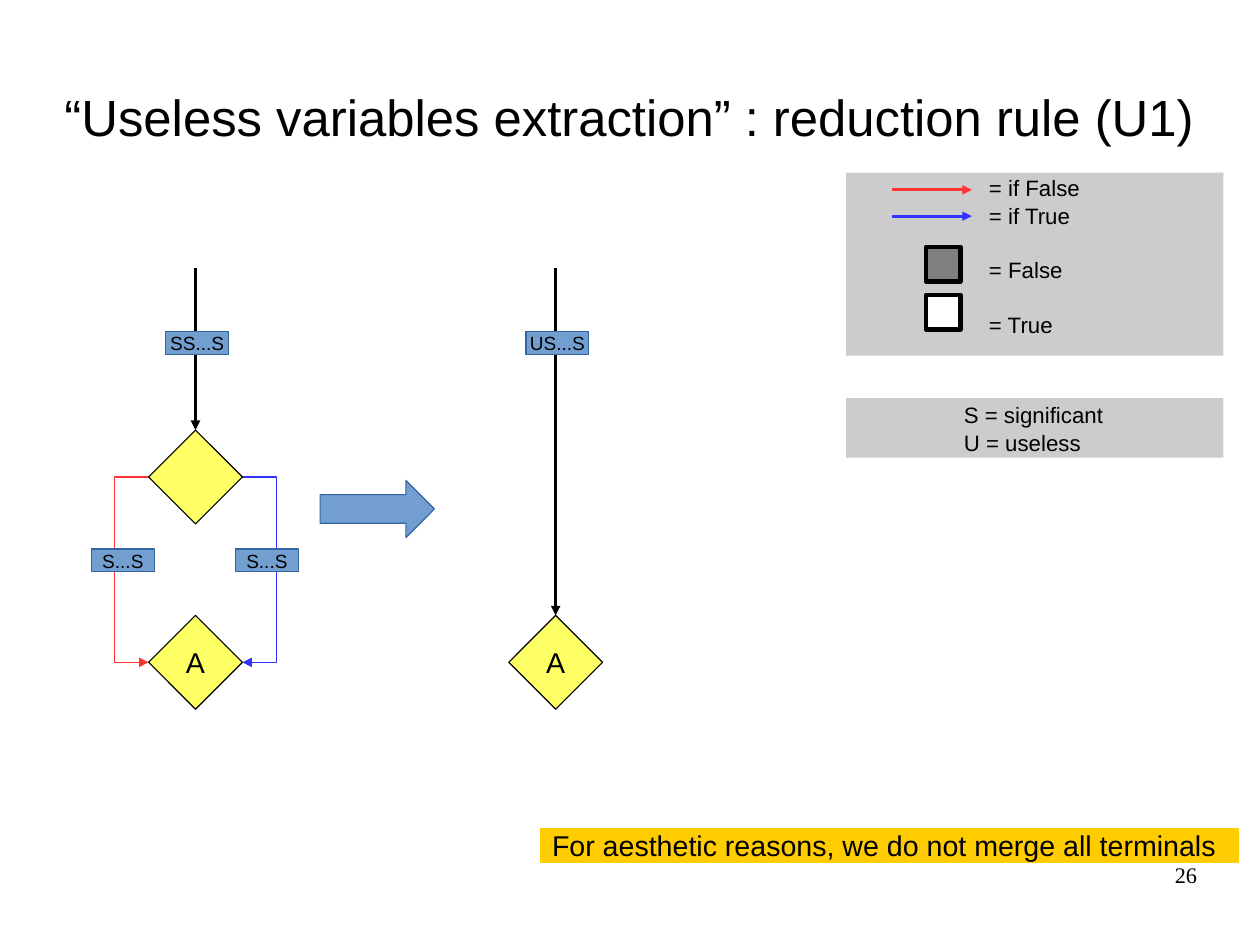
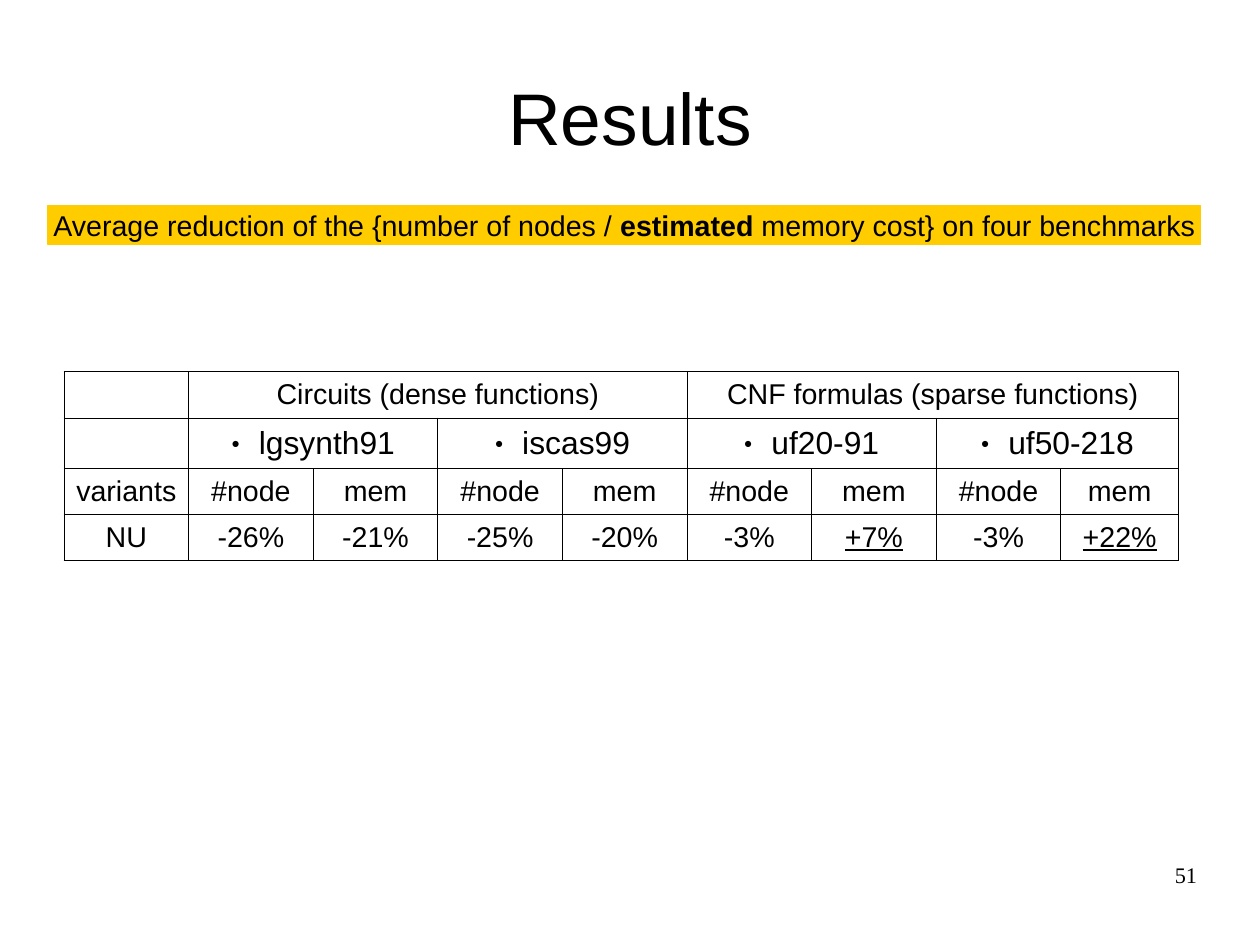
from lxml import etree
from pptx import Presentation
from pptx.dml.color import RGBColor
from pptx.enum import shapes, text
from pptx.oxml import ns
from pptx.util import Inches, Pt

COLORS = {
    "black": "000000", "white": "FFFFFF", "gray": "808080", "panel": "CCCCCC",
    "yellow": "FFFF66", "banner": "FFCC00", "label": "729FCF", "label_line": "3465A4",
    "false": "FF3333", "true": "3333FF",
}
SHAPE = shapes.MSO_SHAPE
LEFT, CENTER, RIGHT = text.PP_ALIGN.LEFT, text.PP_ALIGN.CENTER, text.PP_ALIGN.RIGHT
TOP, MIDDLE = text.MSO_ANCHOR.TOP, text.MSO_ANCHOR.MIDDLE


def rgb(name):
    return RGBColor.from_string(COLORS[name])


def add_xml(parent, tag, **attributes):
    return etree.SubElement(parent, ns.qn(tag), attributes)


def write_text(frame, content, size=18, font="Arial", align=CENTER, anchor=MIDDLE,
               wrap=False, insets=(0.1, 0.05, 0.1, 0.05), gaps=()):
    """Fill a frame; each line is a string or a list of (string, bold) pairs."""
    frame.auto_size = text.MSO_AUTO_SIZE.NONE
    frame.word_wrap = wrap
    frame.vertical_anchor = anchor
    (frame.margin_left, frame.margin_top,
     frame.margin_right, frame.margin_bottom) = map(Inches, insets)
    lines = [content] if isinstance(content, str) else content
    for index, line in enumerate(lines):
        paragraph = frame.add_paragraph() if index else frame.paragraphs[0]
        paragraph.alignment = align
        if index and gaps:
            paragraph.space_before = Pt(gaps[index - 1])
        for string, bold in [(line, False)] if isinstance(line, str) else line:
            run = paragraph.add_run()
            run.text = string
            run.font.name, run.font.size, run.font.bold = font, Pt(size), bold
            run.font.color.rgb = rgb("black")


class Deck:
    def __init__(self):
        self.presentation = Presentation()
        self.presentation.slide_width = Inches(11.02)
        self.presentation.slide_height = Inches(8.27)
        self.slide = None

    def add_slide(self, title, number, title_size):
        self.slide = self.presentation.slides.add_slide(self.presentation.slide_layouts[5])
        heading = self.slide.shapes.title
        heading.left, heading.top = Inches(0.55), Inches(0.33)
        heading.width, heading.height = Inches(9.92), Inches(1.38)
        write_text(heading.text_frame, title, size=title_size, wrap=True, insets=(0,) * 4)
        page = self.slide.shapes.add_textbox(*map(Inches, (7.9, 7.53, 2.57, 0.57)))
        write_text(page.text_frame, str(number), size=14, font="Times New Roman",
                   align=RIGHT, anchor=TOP, wrap=True, insets=(0,) * 4)

    def add_box(self, kind, at, fill, line=None, line_width=0, content=None, **style):
        shape = self.slide.shapes.add_shape(kind, *map(Inches, at))
        shape.shadow.inherit = False
        shape.fill.solid()
        shape.fill.fore_color.rgb = rgb(fill)
        if line:
            shape.line.color.rgb = rgb(line)
            shape.line.width = Pt(line_width)
        else:
            shape.line.fill.background()
        if content:
            write_text(shape.text_frame, content, **style)
        return shape

    def add_banner(self, at, content, **style):
        return self.add_box(SHAPE.RECTANGLE, at, "banner", "banner", content=content, **style)

    def add_diamond(self, left, top, content=None):
        return self.add_box(SHAPE.DIAMOND, (left, top, 0.82, 0.82), "yellow", "black",
                            content=content)

    def add_label(self, left, top, content):
        return self.add_box(SHAPE.RECTANGLE, (left, top, 0.55, 0.2), "label", "label_line",
                            content=content, size=12)

    def format_arrow(self, shape, color):
        shape.line.color.rgb = rgb(color)
        shape.line.width = Pt(0)
        add_xml(shape.line._get_or_add_ln(), "a:tailEnd", type="triangle")

    def add_arrow(self, start, end, color, target=None):
        connector = self.slide.shapes.add_connector(
            shapes.MSO_CONNECTOR.STRAIGHT, *map(Inches, (*start, *end)))
        if target is not None:
            connector.end_connect(target, 0)
        self.format_arrow(connector, color)
        add_xml(connector._element.spPr, "a:effectLst")

    def add_side_arrow(self, points, color):
        """Draw an open path with right angles and a head at its end."""
        corners = [(Inches(x), Inches(y)) for x, y in points]
        builder = self.slide.shapes.build_freeform(*corners[0])
        builder.add_line_segments(corners[1:], close=False)
        shape = builder.convert_to_shape()
        shape.shadow.inherit = False
        shape.fill.background()
        self.format_arrow(shape, color)

    def add_table(self, left, top, widths, heights):
        frame = self.slide.shapes.add_table(
            len(heights), len(widths),
            *map(Inches, (left, top, sum(widths), sum(heights))))
        table = frame.table
        table.first_row = table.horz_banding = False
        for column, width in zip(table.columns, widths):
            column.width = Inches(width)
        for row, height in zip(table.rows, heights):
            row.height = Inches(height)
        for cell in table.iter_cells():
            cell.fill.background()
            self.add_borders(cell)
        return table

    def add_borders(self, cell):
        properties = cell._tc.get_or_add_tcPr()
        for index, side in enumerate("LRTB"):
            border = add_xml(properties, f"a:ln{side}", w=str(Pt(0.57)))
            add_xml(add_xml(border, "a:solidFill"), "a:srgbClr", val=COLORS["black"])
            properties.insert(index, border)

    def fill_cell(self, table, row, column, content, span=1, size=18, bullet=False,
                  underline=False):
        cell = table.cell(row, column)
        if span > 1:
            cell.merge(table.cell(row, column + span - 1))
        cell.vertical_anchor = MIDDLE
        paragraph = cell.text_frame.paragraphs[0]
        paragraph.alignment = CENTER
        if bullet:
            properties = paragraph._p.get_or_add_pPr()
            properties.set("marL", str(Inches(0.24)))
            properties.set("indent", str(-Inches(0.24)))
            add_xml(add_xml(properties, "a:buClr"), "a:srgbClr", val=COLORS["black"])
            add_xml(properties, "a:buSzPct", val="45000")
            add_xml(properties, "a:buFont", typeface="Arial")
            add_xml(properties, "a:buChar", char="●")
        run = paragraph.add_run()
        run.text = content
        run.font.name, run.font.size, run.font.underline = "Arial", Pt(size), underline
        run.font.color.rgb = rgb("black")


def build_rule_slide(deck):
    deck.add_slide("“Useless variables extraction” : reduction rule (U1)", 26, 32)

    # Graph before the reduction
    for x, bend, color in ((2.12, 2.42, "true"), (1.3, 1, "false")):
        deck.add_side_arrow([(x, 4.17), (bend, 4.17), (bend, 5.79), (x, 5.79)], color)
    source = deck.add_diamond(1.3, 3.76)
    deck.add_diamond(1.3, 5.38, "A")
    deck.add_arrow((1.71, 2.34), (1.71, 3.76), "black", source)

    # Graph after the reduction
    deck.add_box(SHAPE.RIGHT_ARROW, (2.8, 4.2, 1, 0.5), "label", "label_line")
    reduced = deck.add_diamond(4.45, 5.38, "A")
    deck.add_arrow((4.86, 2.34), (4.86, 5.38), "black", reduced)

    # Edge labels
    for left, top, content in ((0.8, 4.8, "S...S"), (1.45, 2.9, "SS...S"),
                               (2.06, 4.8, "S...S"), (4.6, 2.9, "US...S")):
        deck.add_label(left, top, content)

    # Legend
    deck.add_box(SHAPE.RECTANGLE, (7.4, 1.51, 3.3, 1.6), "panel",
                 content=["= if False", "= if True", "= False", "= True"], size=14,
                 align=LEFT, anchor=TOP, wrap=True, insets=(1.25, 0.01, 0.1, 0),
                 gaps=(0.8, 17.7, 17.7))
    for y, color in ((1.66, "false"), (1.89, "true")):
        deck.add_arrow((7.8, y), (8.5, y), color)
    for top, fill in ((2.58, "white"), (2.16, "gray")):
        deck.add_box(SHAPE.RECTANGLE, (8.1, top, 0.3, 0.3), fill, "black", 3)
    deck.add_box(SHAPE.RECTANGLE, (7.4, 3.48, 3.3, 0.52), "panel",
                 content=["S = significant", "U = useless"], size=14, align=LEFT,
                 wrap=True, insets=(1.03, 0.02, 0.1, 0), gaps=(0.8,))

    # Remark
    deck.add_banner((4.73, 7.24, 6.1, 0.3),
                    "For aesthetic reasons, we do not merge all terminals",
                    align=LEFT, wrap=True)


def build_results_slide(deck):
    deck.add_slide("Results", 51, 46)
    deck.add_banner((0.42, 1.8, 10.08, 0.34), [[
        ("Average reduction of the {number of nodes / ", False), ("estimated", True),
        (" memory cost} on four benchmarks", False)]])

    # Table: two families, four benchmarks, two measures each
    table = deck.add_table(0.56, 3.25, [1.09] * 8 + [1.03], [0.4, 0.44, 0.4, 0.4])
    families = ["Circuits (dense functions)", "CNF formulas (sparse functions)"]
    for index, family in enumerate(families):
        deck.fill_cell(table, 0, 1 + 4 * index, family, span=4)
    for index, benchmark in enumerate(["lgsynth91", "iscas99", "uf20-91", "uf50-218"]):
        deck.fill_cell(table, 1, 1 + 2 * index, benchmark, span=2, size=20, bullet=True)
    rows = [["variants"] + ["#node", "mem"] * 4,
            ["NU", "-26%", "-21%", "-25%", "-20%", "-3%", "+7%", "-3%", "+22%"]]
    for row, values in enumerate(rows, start=2):
        for column, value in enumerate(values):
            deck.fill_cell(table, row, column, value, underline=value.startswith("+"))


def main():
    deck = Deck()
    build_rule_slide(deck)
    build_results_slide(deck)
    deck.presentation.save("out.pptx")


if __name__ == "__main__":
    main()
